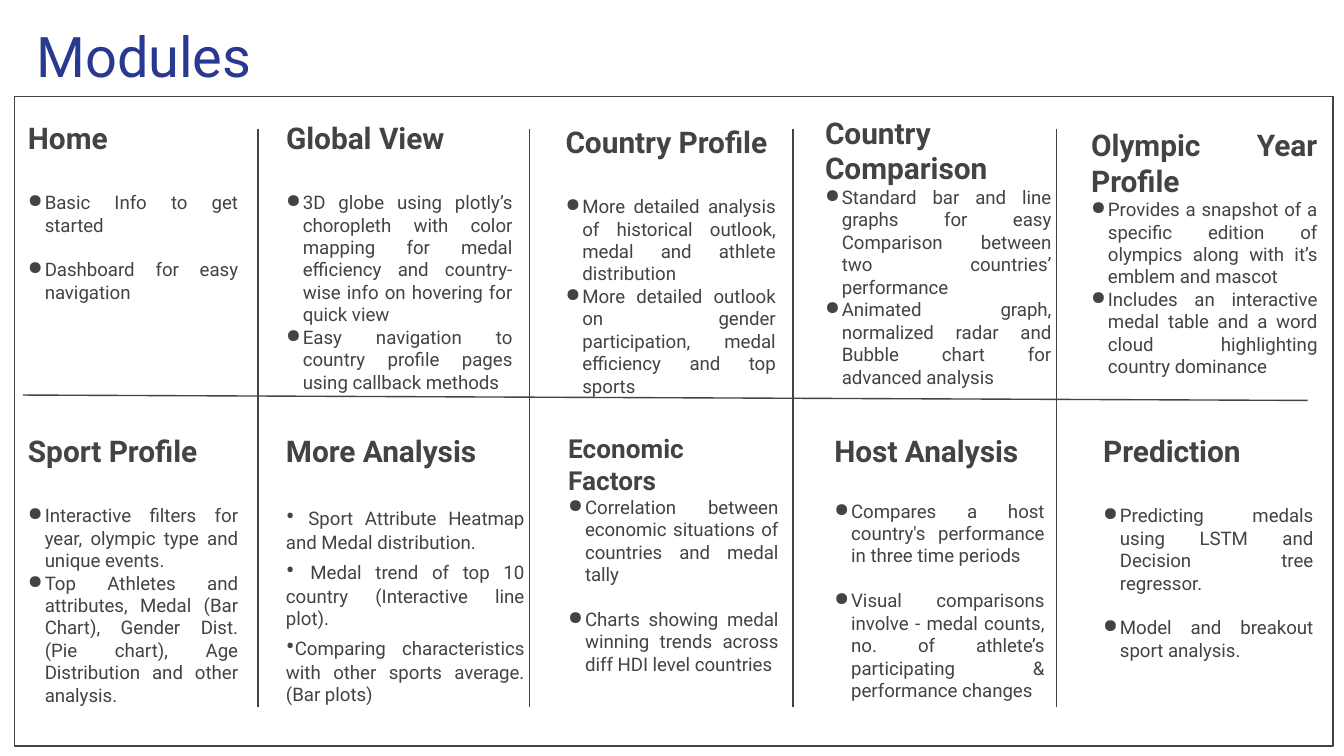
from dataclasses import dataclass

from lxml import etree
from pptx import Presentation
from pptx.dml.color import RGBColor
from pptx.enum.shapes import MSO_CONNECTOR, MSO_SHAPE
from pptx.enum.text import MSO_ANCHOR, MSO_AUTO_SIZE, PP_ALIGN
from pptx.oxml.ns import qn
from pptx.util import Pt

STRAIGHT = MSO_CONNECTOR.STRAIGHT
RECTANGLE = MSO_SHAPE.RECTANGLE
TOP = MSO_ANCHOR.TOP
NO_AUTOFIT = MSO_AUTO_SIZE.NONE
LEFT, JUSTIFY = PP_ALIGN.LEFT, PP_ALIGN.JUSTIFY

NAVY = RGBColor(0x2A, 0x39, 0x90)
GREY = RGBColor(0x43, 0x43, 0x43)
WHITE = RGBColor(0xFF, 0xFF, 0xFF)
FONT = "Roboto"

INSET = Pt(7.2)
BULLET_INDENT = Pt(9)
MODULE_HEIGHT = Pt(159)
LOWER_TOP = 224.64


@dataclass
class Module:
    heading: str
    left: float
    top: float
    width: float
    items: list
    heading_size: float = 16
    heading_gap: float = 19
    item_gap: float = 0
    inline_bullets: bool = False


MODULES = [
    Module("Home", 7.92, 56.88, 126.72, [
        "Basic Info to get started",
        "Dashboard for easy navigation"], item_gap=12),
    Module("Global View", 146.16, 56.88, 135.36, [
        "3D globe using plotly’s choropleth with color mapping for medal "
        "efficiency and country-wise info on hovering for quick view",
        "Easy navigation to country profile pages using callback methods"]),
    Module("Country Profile", 295.92, 59.04, 126.72, [
        "More detailed analysis of historical outlook, medal and athlete distribution",
        "More detailed outlook on gender participation, medal efficiency and top sports"]),
    Module("Country Comparison", 434.88, 54, 135.36, [
        "Standard bar and line graphs for easy Comparison between two "
        "countries’ performance",
        "Animated graph, normalized radar and Bubble chart for advanced analysis"],
        heading_gap=0),
    Module("Olympic Year Profile", 577.44, 60.48, 135.36, [
        "Provides a snapshot of a specific edition of olympics along with "
        "it’s emblem and mascot",
        "Includes an interactive medal table and a word cloud highlighting "
        "country dominance"], heading_gap=0),
    Module("Sport Profile", 7.92, LOWER_TOP, 126.72, [
        "Interactive filters for year, olympic type and unique events.",
        "Top Athletes and attributes, Medal (Bar Chart), Gender Dist. "
        "(Pie chart), Age Distribution and other analysis."]),
    Module("More Analysis", 146.16, LOWER_TOP, 141.84, [
        "• Sport Attribute Heatmap and Medal distribution.",
        "• Medal trend of top 10 country (Interactive line plot).",
        "•Comparing characteristics with other sports average. (Bar plots)"],
        heading_gap=16.5, inline_bullets=True),
    Module("Economic Factors", 297.36, LOWER_TOP, 126.72, [
        "Correlation between economic situations of countries and medal tally",
        "Charts showing medal winning trends across diff HDI level countries"],
        heading_size=14, heading_gap=0, item_gap=12),
    Module("Host Analysis", 439.92, LOWER_TOP, 126.72, [
        "Compares a host country's performance in three time periods",
        "Visual comparisons involve - medal counts, no. of athlete’s "
        "participating & performance changes"], heading_gap=16.5, item_gap=12),
    Module("Prediction", 583.92, LOWER_TOP, 126.72, [
        "Predicting medals using LSTM and Decision tree regressor.",
        "Model and breakout sport analysis."], item_gap=12),
]


def format_frame(frame):
    frame.word_wrap = True
    frame.auto_size = NO_AUTOFIT
    frame.vertical_anchor = TOP
    frame.margin_left = frame.margin_right = INSET
    frame.margin_top = frame.margin_bottom = INSET


def format_paragraph(paragraph, size, color=GREY, bold=False, align=JUSTIFY):
    paragraph.alignment = align
    paragraph.space_before = paragraph.space_after = Pt(0)
    font = paragraph.font
    font.name, font.size, font.bold = FONT, Pt(size), bold
    font.color.rgb = color


def add_bullet(paragraph):
    properties = paragraph._p.get_or_add_pPr()
    properties.set("marL", str(BULLET_INDENT))
    properties.set("indent", str(-BULLET_INDENT))
    bullet_color = etree.Element(qn("a:buClr"))
    etree.SubElement(bullet_color, qn("a:srgbClr"), val=str(GREY))
    bullet = etree.Element(qn("a:buChar"), char="●")
    # Bullet settings must stand before the default run properties.
    defaults = properties.find(qn("a:defRPr"))
    defaults.addprevious(bullet_color)
    defaults.addprevious(bullet)


def add_inline_bullet(paragraph, item):
    """Write an item whose larger bullet belongs to the running text."""
    text = item[1:].lstrip()
    marker = paragraph.add_run()
    marker.text = item[:-len(text)]
    marker.font.size = Pt(14)
    paragraph.add_run().text = text


def add_title(slide, left, top, width, height):
    title = slide.shapes.title
    title.left, title.top, title.width, title.height = left, top, width, height
    format_frame(title.text_frame)
    title.text_frame.text = "Modules"
    format_paragraph(title.text_frame.paragraphs[0], 30, NAVY, align=LEFT)


def add_rule(slide, x1, y1, x2, y2):
    rule = slide.shapes.add_connector(STRAIGHT, Pt(x1), Pt(y1), Pt(x2), Pt(y2))
    rule.line.color.rgb = GREY
    rule.line.width = Pt(0.75)
    etree.SubElement(rule._element.spPr, qn("a:effectLst"))


def add_grid(slide, left, top, width, height):
    """Draw the outer frame and the rules between the modules."""
    frame = slide.shapes.add_shape(RECTANGLE, Pt(left), Pt(top), Pt(width), Pt(height))
    frame.shadow.inherit = False
    frame.fill.solid()
    frame.fill.fore_color.rgb = WHITE
    frame.line.color.rgb = GREY
    frame.line.width = Pt(0.75)
    add_rule(slide, left + 4.3, top + 159.8, left + 692.6, top + 162.7)
    for offset in (130.3, 275.8, 416.9, 558):
        add_rule(slide, left + offset, top + 17.3, left + offset, top + 326.9)


def add_module(slide, module):
    box = slide.shapes.add_textbox(
        Pt(module.left), Pt(module.top), Pt(module.width), MODULE_HEIGHT)
    frame = box.text_frame
    format_frame(frame)
    heading = frame.paragraphs[0]
    heading.text = module.heading
    format_paragraph(heading, module.heading_size, bold=True)
    heading.space_after = Pt(module.heading_gap)
    for index, item in enumerate(module.items):
        paragraph = frame.add_paragraph()
        format_paragraph(paragraph, 10)
        if index:
            paragraph.space_before = Pt(module.item_gap)
        if module.inline_bullets:
            add_inline_bullet(paragraph, item)
        else:
            paragraph.text = item
            add_bullet(paragraph)


def main():
    presentation = Presentation()
    presentation.slide_width, presentation.slide_height = Pt(720), Pt(405)
    slide = presentation.slides.add_slide(presentation.slide_layouts[5])
    add_title(slide, Pt(12.24), Pt(4.32), Pt(671), Pt(47.5))
    add_grid(slide, 7.92, 51.84, 706.3, 347.8)
    for module in MODULES:
        add_module(slide, module)
    presentation.save("out.pptx")


if __name__ == "__main__":
    main()
